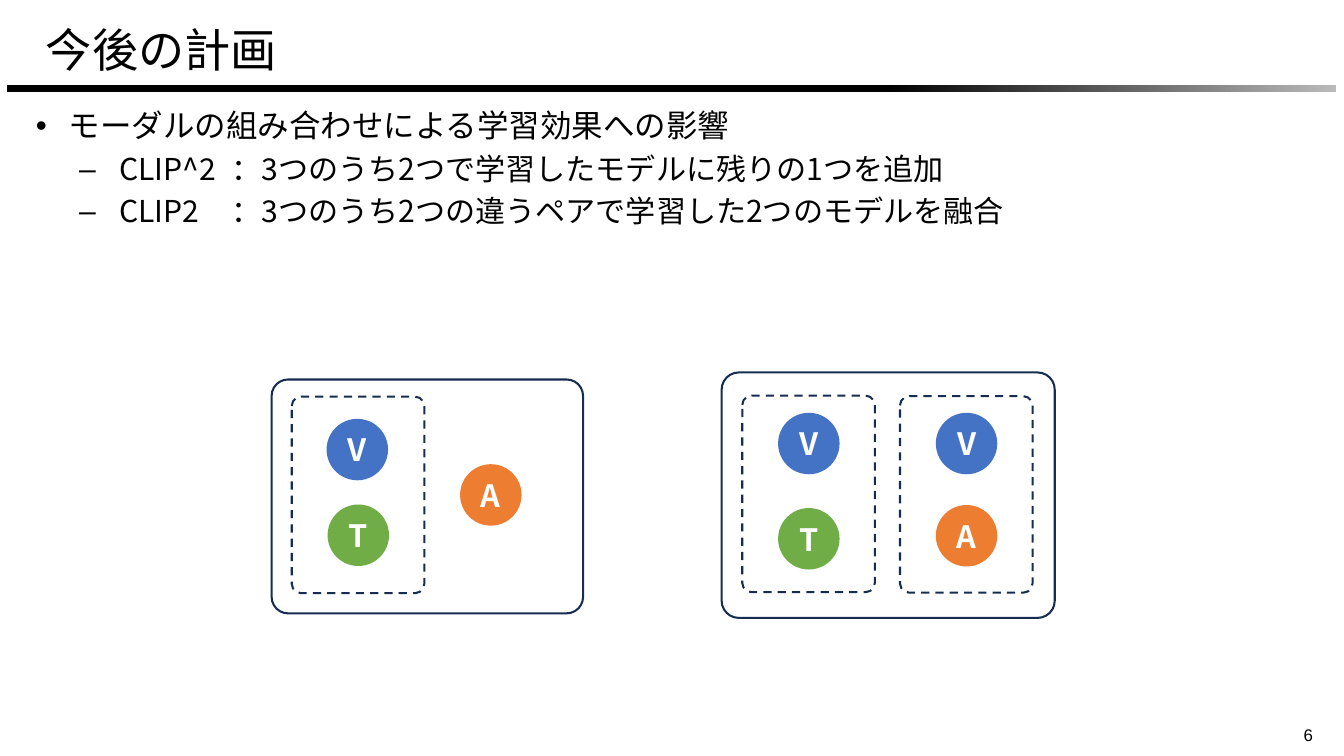
"""Build the slide on future plans for combining modalities."""
from dataclasses import dataclass

from lxml import etree
from pptx import Presentation
from pptx import util as u
from pptx.dml import color
from pptx.enum import dml, shapes, text
from pptx.oxml import ns


@dataclass(frozen=True)
class Theme:
    ink: str = "000000"
    fade: str = "BABABA"
    frame: str = "172C51"
    light: str = "FFFFFF"
    vision: str = "4472C4"
    audio: str = "ED7D31"
    words: str = "70AD47"
    font: str = "Noto Sans CJK JP"
    number_font: str = "Arial"
    title: int = 66
    body: int = 45
    detail: int = 43
    label: int = 44
    number: int = 24
    line: float = 2.92


def apply_format(target, values):
    for name, value in values.items():
        setattr(target, name, value)


def write(paragraph, wording, size, ink, font, bold=False):
    run = paragraph.add_run()
    run.text = wording
    apply_format(run.font, {"size": u.Pt(size), "name": font, "bold": bold})
    run.font.color.rgb = color.RGBColor.from_string(ink)
    etree.SubElement(run.font._element, ns.qn("a:ea"), typeface=font)


theme = Theme()
presentation = Presentation()
apply_format(presentation, {"slide_width": u.Inches(26.67), "slide_height": u.Inches(15)})
slide = presentation.slides.add_slide(presentation.slide_layouts[6])

rule = slide.shapes.add_shape(
    shapes.MSO_SHAPE.RECTANGLE, u.Inches(0.14), u.Inches(1.68), u.Inches(26.38), u.Inches(0.14)
)
rule.shadow.inherit = False
rule.line.fill.background()
rule.fill.gradient()
rule.fill.gradient_angle = 0
for stop, position, shade in zip(rule.fill.gradient_stops, (0.66, 1), (theme.ink, theme.fade)):
    stop.position = position
    stop.color.rgb = color.RGBColor.from_string(shade)

BOXES = {
    "number": ((25.77, 14.33, 0.58, 0.58), {"word_wrap": False}),
    "title": ((0.87, 0.14, 21.93, 1.65), {
        "word_wrap": True, "vertical_anchor": text.MSO_ANCHOR.MIDDLE,
        "margin_left": 0, "margin_right": 0, "margin_top": 0, "margin_bottom": 0,
    }),
    "body": ((0.56, 2.08, 26.02, 12.85), {
        "word_wrap": True, "margin_left": u.Inches(0.11), "margin_right": u.Inches(0.11),
        "margin_top": u.Inches(0.11), "margin_bottom": u.Inches(0.11),
    }),
}
frames = {}
for name, (place, values) in BOXES.items():
    frames[name] = slide.shapes.add_textbox(*map(u.Inches, place)).text_frame
    apply_format(frames[name], values)

write(frames["number"].paragraphs[0], "6", theme.number, theme.ink, theme.number_font)
title = frames["title"].paragraphs[0]
title._p.get_or_add_pPr().set("indent", str(u.Inches(0.04)))
write(title, "今後の計画", theme.title, theme.ink, theme.font)

POINTS = [
    (0, "モーダルの組み合わせによる学習効果への影響"),
    (1, "CLIP^2\t：3つのうち2つで学習したモデルに残りの1つを追加"),
    (1, "CLIP2\t：3つのうち2つの違うペアで学習した2つのモデルを融合"),
]
LEVELS = [("•", 0.69, -0.65, theme.body), ("–", 1.7, -0.8, theme.detail)]
for index, (level, wording) in enumerate(POINTS):
    paragraph = frames["body"].add_paragraph() if index else frames["body"].paragraphs[0]
    bullet, margin, indent, size = LEVELS[level]
    apply_format(paragraph, {"level": level, "line_spacing": 0.9, "space_before": u.Pt(14)})
    properties = paragraph._p.get_or_add_pPr()
    properties.set("marL", str(u.Inches(margin)))
    properties.set("indent", str(u.Inches(indent)))
    etree.SubElement(properties, ns.qn("a:buFont"), typeface=theme.number_font)
    etree.SubElement(properties, ns.qn("a:buChar"), char=bullet)
    if level:
        tabs = etree.SubElement(properties, ns.qn("a:tabLst"))
        etree.SubElement(tabs, ns.qn("a:tab"), pos=str(u.Inches(3.93)), algn="l")
    write(paragraph, wording, size, theme.ink, theme.font)

MODALITIES = {"V": theme.vision, "A": theme.audio, "T": theme.words}
DIAMETER = 1.22
PAIR_SIZE = (2.63, 3.9)
DIAGRAMS = [
    {
        "circles": [("V", 6.48, 8.31), ("A", 9.13, 9.21), ("T", 6.5, 10.01)],
        "pairs": [(5.79, 7.87)],
        "model": (5.39, 7.53, 6.18, 4.64),
    },
    {
        "circles": [("V", 15.44, 8.19), ("A", 18.57, 10.02), ("T", 15.44, 10.08), ("V", 18.57, 8.19)],
        "pairs": [(14.73, 7.85), (17.86, 7.86)],
        "model": (14.32, 7.39, 6.61, 4.87),
    },
]
for diagram in DIAGRAMS:
    group = slide.shapes.add_group_shape()
    for letter, left, top in diagram["circles"]:
        circle = group.shapes.add_shape(
            shapes.MSO_SHAPE.OVAL, *map(u.Inches, (left, top, DIAMETER, DIAMETER))
        )
        circle.shadow.inherit = False
        circle.fill.solid()
        circle.fill.fore_color.rgb = color.RGBColor.from_string(MODALITIES[letter])
        circle.line.fill.background()
        apply_format(circle.text_frame, {
            "vertical_anchor": text.MSO_ANCHOR.MIDDLE,
            "margin_left": 0, "margin_right": 0, "margin_top": 0, "margin_bottom": 0,
        })
        paragraph = circle.text_frame.paragraphs[0]
        paragraph.alignment = text.PP_ALIGN.CENTER
        write(paragraph, letter, theme.label, theme.light, theme.font, bold=True)
    outlines = [((*corner, *PAIR_SIZE), dml.MSO_LINE.DASH) for corner in diagram["pairs"]]
    outlines.append((diagram["model"], None))
    for place, dash in outlines:
        outline = group.shapes.add_shape(
            shapes.MSO_SHAPE.ROUNDED_RECTANGLE, *map(u.Inches, place)
        )
        outline.shadow.inherit = False
        outline.adjustments[0] = 0.07
        outline.fill.background()
        outline.line.color.rgb = color.RGBColor.from_string(theme.frame)
        apply_format(outline.line, {"width": u.Pt(theme.line), "dash_style": dash})

presentation.save("out.pptx")
